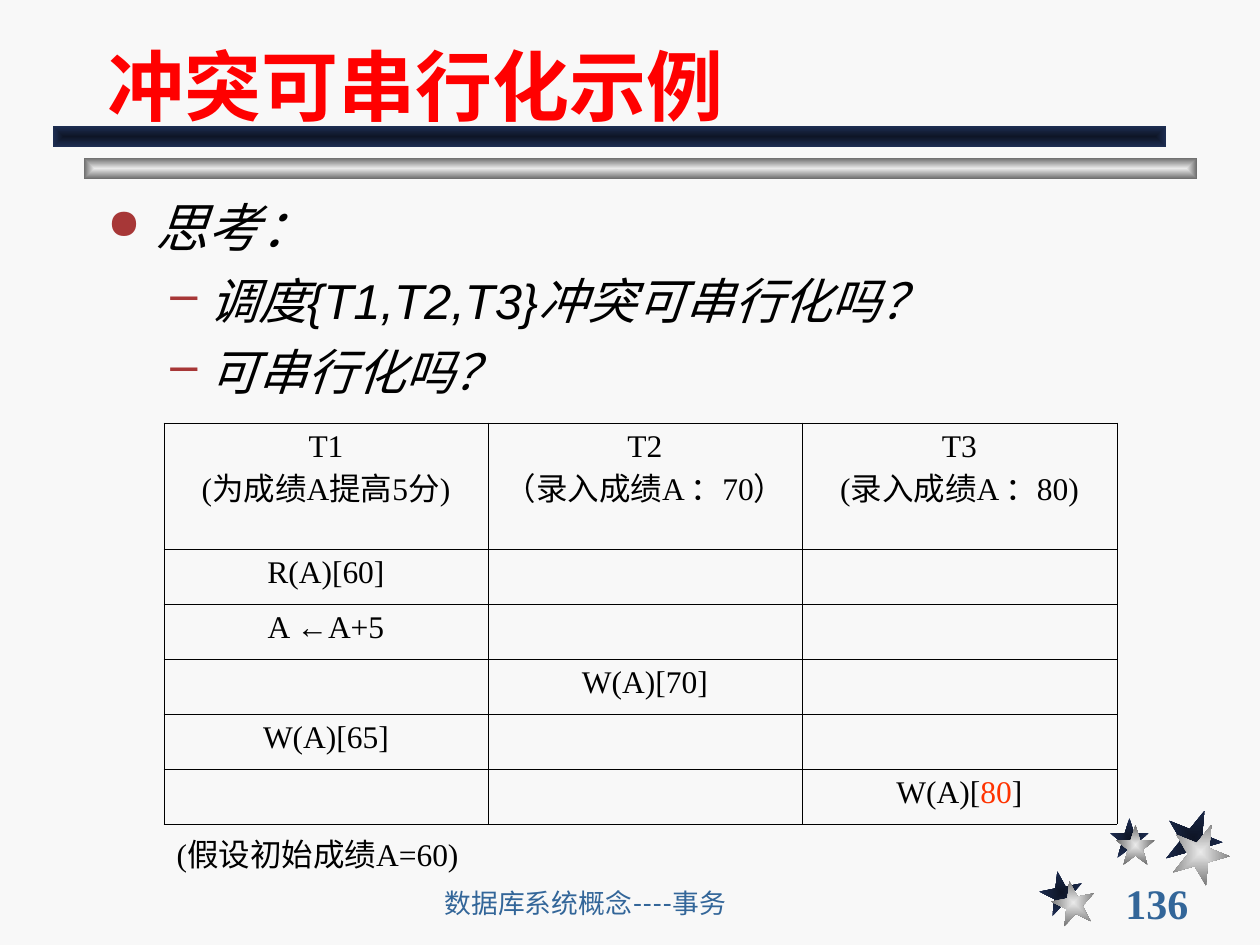
from dataclasses import dataclass

from lxml import etree
from pptx import Presentation
from pptx import util as u
from pptx.dml.color import RGBColor
from pptx.enum import shapes, text
from pptx.oxml import ns

PX_PER_INCH = 126
BACKGROUND = RGBColor(0xF8, 0xF8, 0xF8)
BLACK = RGBColor(0, 0, 0)
RED = RGBColor(0xFF, 0, 0)
ORANGE_RED = RGBColor(0xFF, 0x33, 0)
BRICK = RGBColor(0xA7, 0x37, 0x37)
STEEL_BLUE = RGBColor(0x33, 0x66, 0x99)
NAVY = (RGBColor(0x0E, 0x15, 0x26), RGBColor(0x1E, 0x2E, 0x53))
SILVER = (RGBColor(0xEA, 0xEA, 0xEA), RGBColor(0x6C, 0x6C, 0x6C))
SERIF = "Times New Roman"
SANS = "Arial"


@dataclass(frozen=True)
class Ornament:
    kind: shapes.MSO_SHAPE
    left: int
    top: int
    width: int
    height: int
    colours: tuple[RGBColor, RGBColor]
    rotation: int = 0


@dataclass(frozen=True)
class Bullet:
    words: str
    size: int
    space: float
    mark: str
    scale: int
    margin: int
    hanging: int
    level: int


BAR = shapes.MSO_SHAPE.RECTANGLE
STAR = shapes.MSO_SHAPE.STAR_5_POINT
ORNAMENTS = [
    Ornament(STAR, 1040, 871, 43, 43, NAVY, 349),
    Ornament(STAR, 1110, 818, 39, 40, NAVY),
    Ornament(STAR, 1165, 809, 57, 58, NAVY, 22),
    Ornament(STAR, 1052, 881, 43, 43, SILVER, 349),
    Ornament(STAR, 1116, 825, 39, 40, SILVER),
    Ornament(STAR, 1172, 823, 57, 58, SILVER, 22),
    Ornament(BAR, 84, 158, 1113, 21, SILVER),
    Ornament(BAR, 53, 126, 1113, 21, NAVY),
]
BULLETS = [
    Bullet("思考：", 30, 7.5, "●", 80, 48, 48, 0),
    Bullet("调度{T1,T2,T3}冲突可串行化吗？", 28, 7, "–", 100, 102, 39, 1),
    Bullet("可串行化吗？", 28, 7, "–", 100, 102, 39, 1),
]
COLUMN_WIDTHS = [324, 314, 315]
ROW_HEIGHTS = [126] + [55] * 6
SCHEDULE = [
    ["T1\n(为成绩A提高5分)", "T2\n（录入成绩A ：70）", "T3\n(录入成绩A ：80)"],
    ["R(A)[60]", "", ""],
    ["A ←A+5", "", ""],
    ["", "W(A)[70]", ""],
    ["W(A)[65]", "", ""],
    ["", "", "W(A)[80]"],
    ["(假设初始成绩A=60)", "", ""],
]
HIGHLIGHT = "W(A)[80]"


def px(length: int) -> int:
    return round(length * u.Inches(1) / PX_PER_INCH)


def box(*lengths: int) -> list[int]:
    return [px(length) for length in lengths]


def add_xml(parent, tag: str, **attributes):
    return etree.SubElement(parent, ns.qn(tag), attributes)


def write(paragraph, words: str, *, size: float, font: str = SANS,
          colour: RGBColor = BLACK, bold: bool = False, italic: bool = False) -> None:
    run = paragraph.add_run()
    run.text = words
    run.font.size = u.Pt(size)
    run.font.name = font
    run.font.color.rgb = colour
    run.font.bold = bold
    run.font.italic = italic


def indent(paragraph, margin: int, hanging: int):
    properties = paragraph._p.get_or_add_pPr()
    properties.set("marL", str(px(margin)))
    properties.set("indent", str(-px(hanging)))
    return properties


def add_ornament(slide, ornament: Ornament) -> None:
    shape = slide.shapes.add_shape(
        ornament.kind, *box(ornament.left, ornament.top, ornament.width, ornament.height))
    shape.rotation = ornament.rotation
    shape.shadow.inherit = False
    shape.line.fill.background()
    shape.fill.gradient()
    for stop, colour in zip(shape.fill.gradient_stops, ornament.colours):
        stop.color.rgb = colour
    gradient = shape._element.spPr.find(ns.qn("a:gradFill"))
    gradient.remove(gradient.find(ns.qn("a:lin")))
    centre = add_xml(gradient, "a:path", path="rect")
    add_xml(centre, "a:fillToRect", l="50000", t="50000", r="50000", b="50000")


def add_text_frame(slide, area: list[int], anchor: text.MSO_ANCHOR, wrap: bool = True):
    frame = slide.shapes.add_textbox(*area).text_frame
    frame.word_wrap = wrap
    frame.vertical_anchor = anchor
    return frame


def add_bullet(paragraph, bullet: Bullet) -> None:
    paragraph.level = bullet.level
    paragraph.space_before = u.Pt(bullet.space)
    properties = indent(paragraph, bullet.margin, bullet.hanging)
    add_xml(add_xml(properties, "a:buClr"), "a:srgbClr", val=str(BRICK))
    add_xml(properties, "a:buSzPct", val=str(bullet.scale * 1000))
    add_xml(properties, "a:buChar", char=bullet.mark)
    write(paragraph, bullet.words, size=bullet.size, italic=True)


def set_borders(cell, visible: str) -> None:
    properties = cell._tc.get_or_add_tcPr()
    for side in "LRTB":
        line = add_xml(properties, f"a:ln{side}", w=str(u.Pt(0.45)))
        if side in visible:
            add_xml(add_xml(line, "a:solidFill"), "a:srgbClr", val=str(BLACK))
        else:
            add_xml(line, "a:noFill")


def fill_cell(cell, words: str, is_note: bool) -> None:
    set_borders(cell, "T" if is_note else "LRTB")
    cell.fill.background()
    for index, line in enumerate(words.split("\n")):
        frame = cell.text_frame
        paragraph = frame.add_paragraph() if index else frame.paragraphs[0]
        paragraph.alignment = text.PP_ALIGN.LEFT if is_note else text.PP_ALIGN.CENTER
        indent(paragraph, 48, 48)
        pieces = ["W(A)[", "80", "]"] if line == HIGHLIGHT else [line]
        for position, piece in enumerate(pieces):
            write(paragraph, piece, size=18, font=SERIF,
                  colour=ORANGE_RED if position == 1 else BLACK)


def add_schedule(slide) -> None:
    table = slide.shapes.add_table(
        len(ROW_HEIGHTS), len(COLUMN_WIDTHS),
        *box(164, 423, sum(COLUMN_WIDTHS), sum(ROW_HEIGHTS))).table
    table.first_row = table.horz_banding = False
    for column, width in zip(table.columns, COLUMN_WIDTHS):
        column.width = px(width)
    for row, height in zip(table.rows, ROW_HEIGHTS):
        row.height = px(height)
    last = len(SCHEDULE) - 1
    table.cell(last, 0).merge(table.cell(last, len(COLUMN_WIDTHS) - 1))
    for row, entries in enumerate(SCHEDULE):
        for column, words in enumerate(entries):
            fill_cell(table.cell(row, column), words, row == last)


def main() -> None:
    presentation = Presentation()
    presentation.slide_width, presentation.slide_height = box(1260, 945)
    slide = presentation.slides.add_slide(presentation.slide_layouts[5])
    slide.background.fill.solid()
    slide.background.fill.fore_color.rgb = BACKGROUND
    for ornament in ORNAMENTS:
        add_ornament(slide, ornament)

    title = slide.shapes.title
    title.left, title.top, title.width, title.height = box(95, 21, 1071, 116)
    title.text_frame.auto_size = text.MSO_AUTO_SIZE.NONE
    title.text_frame.vertical_anchor = text.MSO_ANCHOR.BOTTOM
    heading = title.text_frame.paragraphs[0]
    heading.alignment = text.PP_ALIGN.LEFT
    write(heading, "冲突可串行化示例", size=44, colour=RED, bold=True)

    number = add_text_frame(slide, box(1113, 882, 136, 42), text.MSO_ANCHOR.MIDDLE, wrap=False)
    write(number.paragraphs[0], "136", size=24, font=SERIF, colour=STEEL_BLUE, bold=True)
    footer = add_text_frame(slide, box(432, 880, 566, 45), text.MSO_ANCHOR.BOTTOM)
    footer.paragraphs[0].line_spacing = 0.9
    write(footer.paragraphs[0], "数据库系统概念----事务", size=15.3, font="Lato",
          colour=STEEL_BLUE)

    add_schedule(slide)
    body = add_text_frame(slide, box(95, 189, 1071, 224), text.MSO_ANCHOR.TOP)
    for index, bullet in enumerate(BULLETS):
        add_bullet(body.add_paragraph() if index else body.paragraphs[0], bullet)

    presentation.save("out.pptx")


if __name__ == "__main__":
    main()
